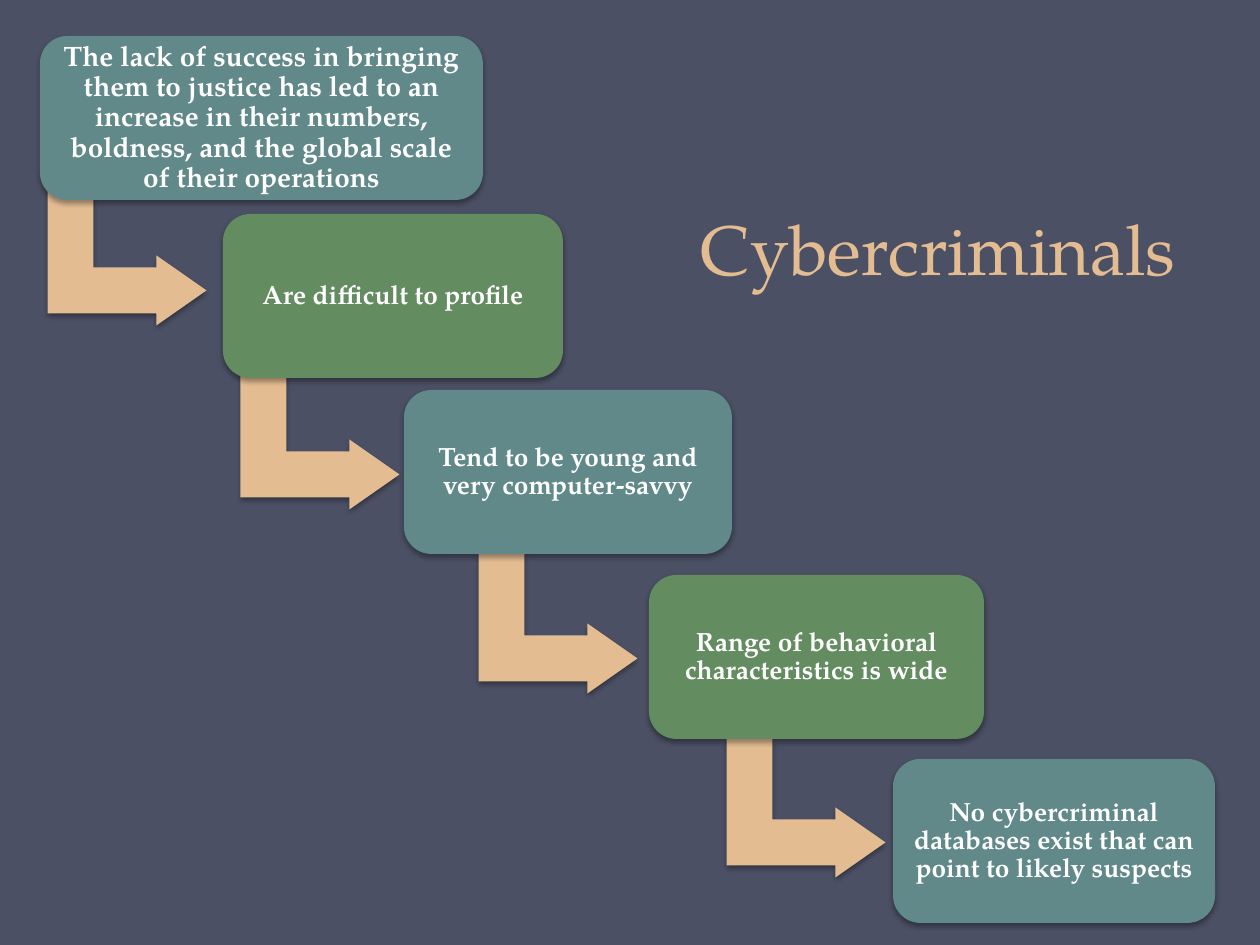
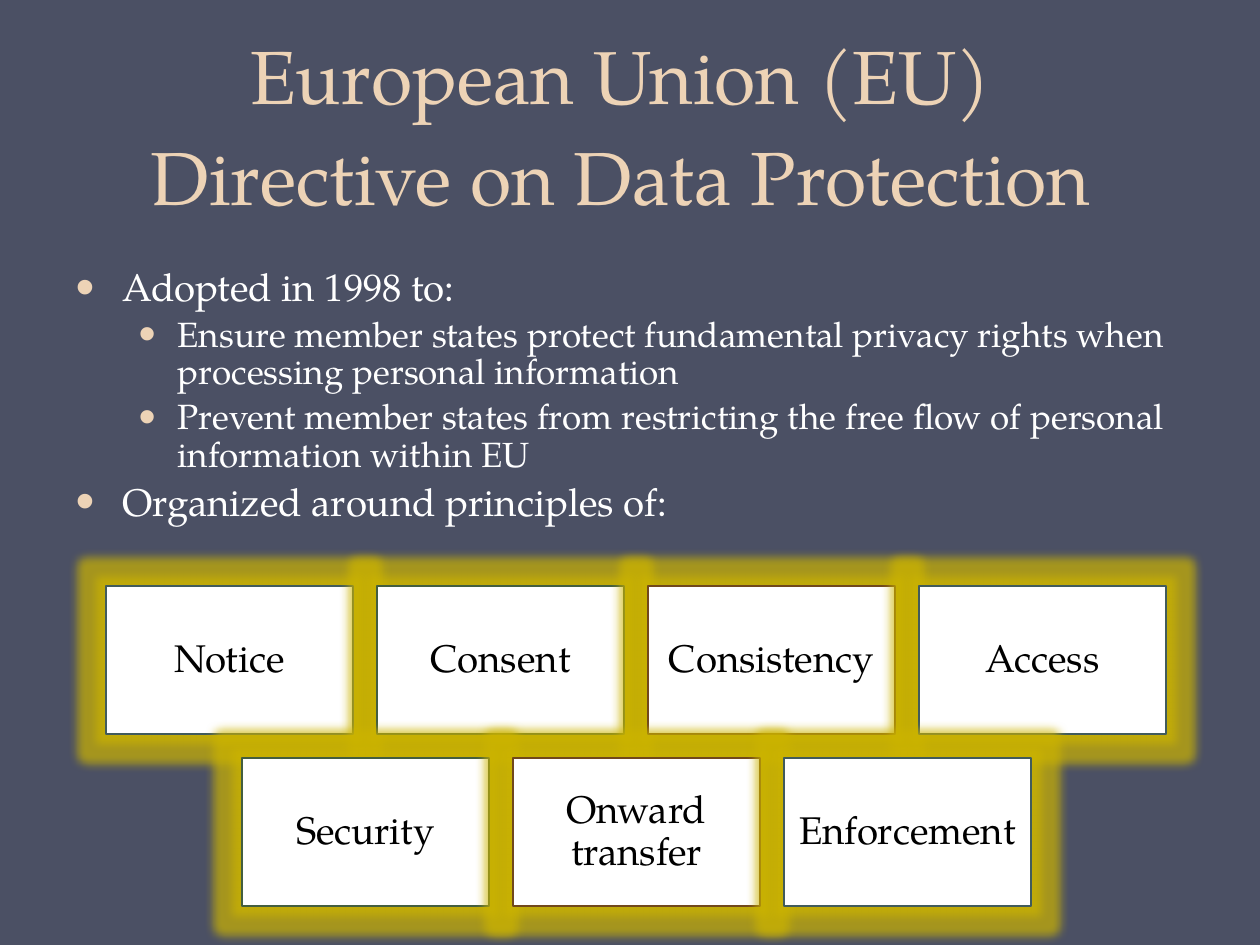
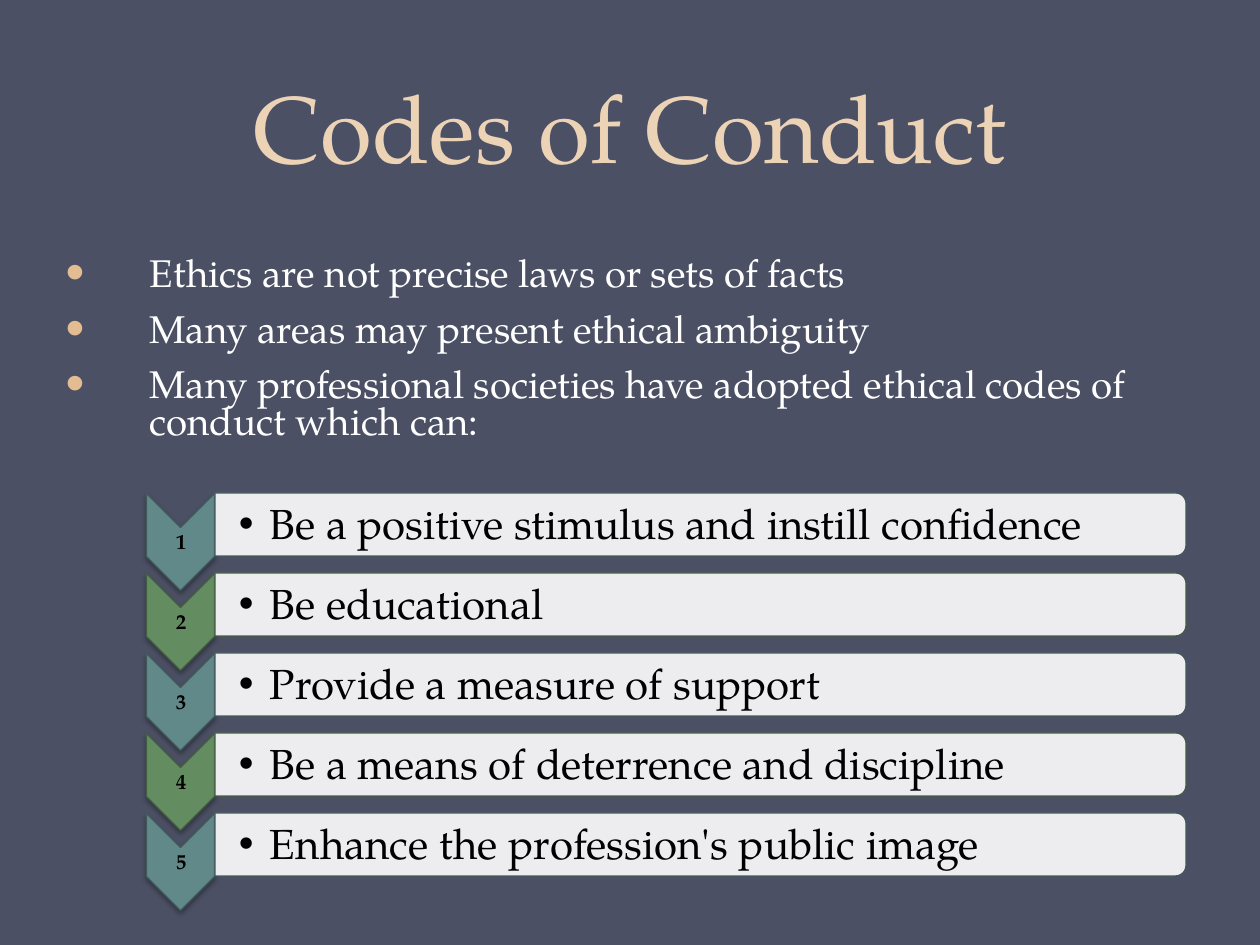
from dataclasses import dataclass
from itertools import cycle
from typing import Any, NamedTuple, Optional

from lxml.etree import SubElement
from pptx import Presentation
from pptx.dml.color import RGBColor
from pptx.enum.shapes import MSO_SHAPE
from pptx.enum.text import MSO_ANCHOR, MSO_AUTO_SIZE, PP_ALIGN
from pptx.oxml.ns import qn
from pptx.util import Emu, Pt

PX_PER_INCH = 126


def px(length: int) -> Emu:
    return Emu(round(length * 914400 / PX_PER_INCH))


# Theme
@dataclass(frozen=True)
class Theme:
    font: str = "TeX Gyre Pagella"
    background: str = "4B5064"
    white: str = "FFFFFF"
    black: str = "000000"
    sand: str = "E3BC92"
    pale_sand: str = "EDD3B6"
    teal: str = "61898A"
    green: str = "648C61"
    teal_edge: str = "415B5C"
    green_edge: str = "435E40"
    brown_edge: str = "71481C"
    glow: str = "CCB400"
    title_leading: int = 58
    narrow_title: int = 40
    wide_title: int = 43
    big_title: int = 54
    list_main: int = 22
    list_sub: int = 20
    first_step: int = 16
    step: int = 15
    tile: int = 22
    number: int = 12
    benefit: int = 24


THEME = Theme()


class Frame(NamedTuple):
    left: int
    top: int
    width: int
    height: int

    def down(self, distance: int) -> "Frame":
        return self._replace(top=self.top + distance)


class TextStyle(NamedTuple):
    size: int
    color: str
    bold: bool = False


class Bullet(NamedTuple):
    margin: int
    hang: int
    color: str
    percent: int = 140


class Item(NamedTuple):
    text: str
    level: int
    style: TextStyle
    bullet: Bullet


class Step(NamedTuple):
    text: str
    frame: Frame
    size: int
    inset: int
    arrow_left: Optional[int]


# Formatting helpers
def apply(target: Any, formats: dict[str, Any]) -> None:
    for name, value in formats.items():
        setattr(target, name, value)


def place(shape: Any, frame: Frame) -> None:
    apply(shape, {side: px(length) for side, length in frame._asdict().items()})


def add_run(paragraph: Any, text: str, style: TextStyle) -> None:
    paragraph.text = text
    for run in paragraph.runs:
        apply(run.font, {"name": THEME.font, "size": Pt(style.size), "bold": style.bold})
        run.font.color.rgb = RGBColor.from_string(style.color)


def add_bullet(paragraph: Any, bullet: Bullet) -> None:
    properties = paragraph._p.get_or_add_pPr()
    properties.set("marL", str(px(bullet.margin)))
    properties.set("indent", str(-px(bullet.hang)))
    color = SubElement(properties, qn("a:buClr"))
    SubElement(color, qn("a:srgbClr"), val=bullet.color)
    SubElement(properties, qn("a:buSzPct"), val=str(bullet.percent * 1000))
    SubElement(properties, qn("a:buFont"), typeface="Arial")
    SubElement(properties, qn("a:buChar"), char="•")


def add_alpha(color: Any, percent: int) -> None:
    SubElement(color, qn("a:alpha"), val=str(percent * 1000))


def add_effect(shape: Any, kind: str, color: str, alpha: int, **settings: int) -> None:
    effects = shape._element.spPr.find(qn("a:effectLst"))
    effect = SubElement(effects, qn(kind), {key: str(value) for key, value in settings.items()})
    add_alpha(SubElement(effect, qn("a:srgbClr"), val=color), alpha)


def add_soft_shadow(shape: Any) -> None:
    add_effect(shape, "a:outerShdw", THEME.black, 35,
               blurRad=Pt(3.1), dist=Pt(1.8), dir=90 * 60000, rotWithShape=0)


def add_block(slide: Any, preset: MSO_SHAPE, frame: Frame, fill: str,
              edge: Optional[str] = None, rotation: int = 0) -> Any:
    block = slide.shapes.add_shape(preset, *map(px, frame))
    block.rotation = rotation
    block.shadow.inherit = False
    block.fill.solid()
    block.fill.fore_color.rgb = RGBColor.from_string(fill)
    if edge:
        block.line.color.rgb = RGBColor.from_string(edge)
        block.line.width = Pt(0.75)
    else:
        block.line.fill.background()
    return block


def write_label(shape: Any, text: str, style: TextStyle, inset: int,
                align: PP_ALIGN = PP_ALIGN.CENTER) -> Any:
    margins = {f"margin_{side}": px(inset) for side in ("left", "top", "right", "bottom")}
    apply(shape.text_frame, {"word_wrap": True, "vertical_anchor": MSO_ANCHOR.MIDDLE, **margins})
    paragraph = shape.text_frame.paragraphs[0]
    apply(paragraph, {"alignment": align, "line_spacing": 0.9})
    add_run(paragraph, text, style)
    return paragraph


# Placeholders
def write_title(slide: Any, text: str, frame: Frame, style: TextStyle) -> None:
    title = slide.shapes.title
    place(title, frame)
    apply(title.text_frame, {"auto_size": MSO_AUTO_SIZE.NONE, "vertical_anchor": MSO_ANCHOR.BOTTOM})
    paragraph = title.text_frame.paragraphs[0]
    apply(paragraph, {"alignment": PP_ALIGN.CENTER, "line_spacing": Pt(THEME.title_leading)})
    add_run(paragraph, text, style)


def write_list(slide: Any, frame: Frame, items: list[Item], formats: dict[str, Any]) -> None:
    body = slide.placeholders[1]
    place(body, frame)
    body.text_frame.auto_size = MSO_AUTO_SIZE.NONE
    for index, item in enumerate(items):
        first = index == 0
        paragraph = body.text_frame.paragraphs[0] if first else body.text_frame.add_paragraph()
        apply(paragraph, {"level": item.level, **formats})
        if first:
            paragraph.space_before = Pt(0)
        add_bullet(paragraph, item.bullet)
        add_run(paragraph, item.text, item.style)


# Slide 1: staircase of traits
def build_cybercriminals(slide: Any) -> None:
    write_title(slide, "Cybercriminals", Frame(679, 76, 518, 220),
                TextStyle(THEME.narrow_title, THEME.sand))
    height = 164
    steps = [
        Step("The lack of success in bringing them to justice has led to an increase in their "
             "numbers, boldness, and the global scale of their operations",
             Frame(40, 36, 443, height), THEME.first_step, 9, 57),
        Step("Are difficult to profile", Frame(223, 214, 340, height), THEME.step, 8, 250),
        Step("Tend to be young and very computer-savvy",
             Frame(404, 390, 328, height), THEME.step, 8, 488),
        Step("Range of behavioral characteristics is wide",
             Frame(649, 575, 335, height), THEME.step, 8, 736),
        Step("No cybercriminal databases exist that can point to likely suspects",
             Frame(893, 759, 322, height), THEME.step, 8, None),
    ]
    for index, (step, fill) in enumerate(zip(steps, cycle((THEME.teal, THEME.green)))):
        if step.arrow_left is not None:
            arrow = add_block(slide, MSO_SHAPE.BENT_UP_ARROW,
                              Frame(step.arrow_left, 176 + 184 * index, 140, 159),
                              THEME.sand, rotation=90)
            for position, value in enumerate((0.328, 0.25, 0.358)):
                arrow.adjustments[position] = value
            add_soft_shadow(arrow)
        trait = add_block(slide, MSO_SHAPE.ROUNDED_RECTANGLE, step.frame, fill)
        add_soft_shadow(trait)
        write_label(trait, step.text, TextStyle(step.size, THEME.white, True), step.inset)


# Slide 2: directive and its principles
def build_directive(slide: Any) -> None:
    write_title(slide, "European Union (EU) \vDirective on Data Protection ",
                Frame(0, 16, 1260, 211), TextStyle(THEME.wide_title, THEME.pale_sand))
    main = (0, TextStyle(THEME.list_main, THEME.white), Bullet(47, 47, THEME.pale_sand))
    sub = (1, TextStyle(THEME.list_sub, THEME.white), Bullet(102, 39, THEME.pale_sand))
    write_list(slide, Frame(63, 262, 1134, 357), [
        Item("Adopted in 1998 to:", *main),
        Item("Ensure member states protect fundamental privacy rights when processing "
             "personal information", *sub),
        Item("Prevent member states from restricting the free flow of personal "
             "information within EU", *sub),
        Item("Organized around principles of:", *main),
    ], {"line_spacing": 0.9})

    center, width, height, gap = 636, 247, 148, 24
    edges = cycle((THEME.teal_edge, THEME.green_edge, THEME.brown_edge))
    principles = [["Notice", "Consent", "Consistency", "Access"],
                  ["Security", "Onward transfer", "Enforcement"]]
    for row, names in enumerate(principles):
        row_left = center - (len(names) * (width + gap) - gap) // 2
        for column, name in enumerate(names):
            frame = Frame(row_left + column * (width + gap), 586 + row * (height + gap),
                          width, height)
            principle = add_block(slide, MSO_SHAPE.RECTANGLE, frame, THEME.white, next(edges))
            add_effect(principle, "a:glow", THEME.glow, 70, rad=Pt(11))
            write_label(principle, name, TextStyle(THEME.tile, THEME.black), 11)


# Slide 3: numbered benefits of codes
def build_codes(slide: Any) -> None:
    write_title(slide, "Codes of Conduct", Frame(63, 32, 1134, 157),
                TextStyle(THEME.big_title, THEME.pale_sand))
    point = (0, TextStyle(THEME.list_main, THEME.white), Bullet(84, 84, THEME.sand))
    write_list(slide, Frame(53, 252, 1134, 231), [
        Item("Ethics are not precise laws or sets of facts", *point),
        Item("Many areas may present ethical ambiguity", *point),
        Item("Many professional societies have adopted ethical codes of conduct which can:", *point),
    ], {"line_spacing": 0.8, "space_after": Pt(6)})

    benefits = ["Be a positive stimulus and instill confidence", "Be educational",
                "Provide a measure of support", "Be a means of deterrence and discipline",
                "Enhance the profession's public image"]
    colors = cycle(((THEME.teal, THEME.teal_edge), (THEME.green, THEME.green_edge)))
    for index, (benefit, (fill, edge)) in enumerate(zip(benefits, colors)):
        drop = 80 * index
        chevron = add_block(slide, MSO_SHAPE.CHEVRON, Frame(132, 508, 97, 68).down(drop),
                            fill, edge, rotation=90)
        add_soft_shadow(chevron)
        number = slide.shapes.add_textbox(*map(px, Frame(147, 528, 68, 29).down(drop)))
        write_label(number, str(index + 1), TextStyle(THEME.number, THEME.black, True), 1)

        bar = add_block(slide, MSO_SHAPE.ROUND_2_SAME_RECTANGLE,
                        Frame(669, 39, 63, 971).down(drop), THEME.white, edge, rotation=90)
        add_alpha(bar._element.spPr.find(qn("a:solidFill"))[0], 90)
        caption = slide.shapes.add_textbox(*map(px, Frame(215, 497, 969, 57).down(drop)))
        paragraph = write_label(caption, benefit, TextStyle(THEME.benefit, THEME.black), 2,
                                PP_ALIGN.LEFT)
        caption.text_frame.margin_left = px(24)
        add_bullet(paragraph, Bullet(31, 31, THEME.black, 100))


def main() -> None:
    deck = Presentation()
    apply(deck, {"slide_width": px(1260), "slide_height": px(945)})
    backdrop = deck.slide_master.background.fill
    backdrop.solid()
    backdrop.fore_color.rgb = RGBColor.from_string(THEME.background)

    title_and_content, title_only = deck.slide_layouts[1], deck.slide_layouts[5]
    for layout, build in ((title_only, build_cybercriminals),
                          (title_and_content, build_directive),
                          (title_and_content, build_codes)):
        build(deck.slides.add_slide(layout))
    deck.save("out.pptx")


if __name__ == "__main__":
    main()
